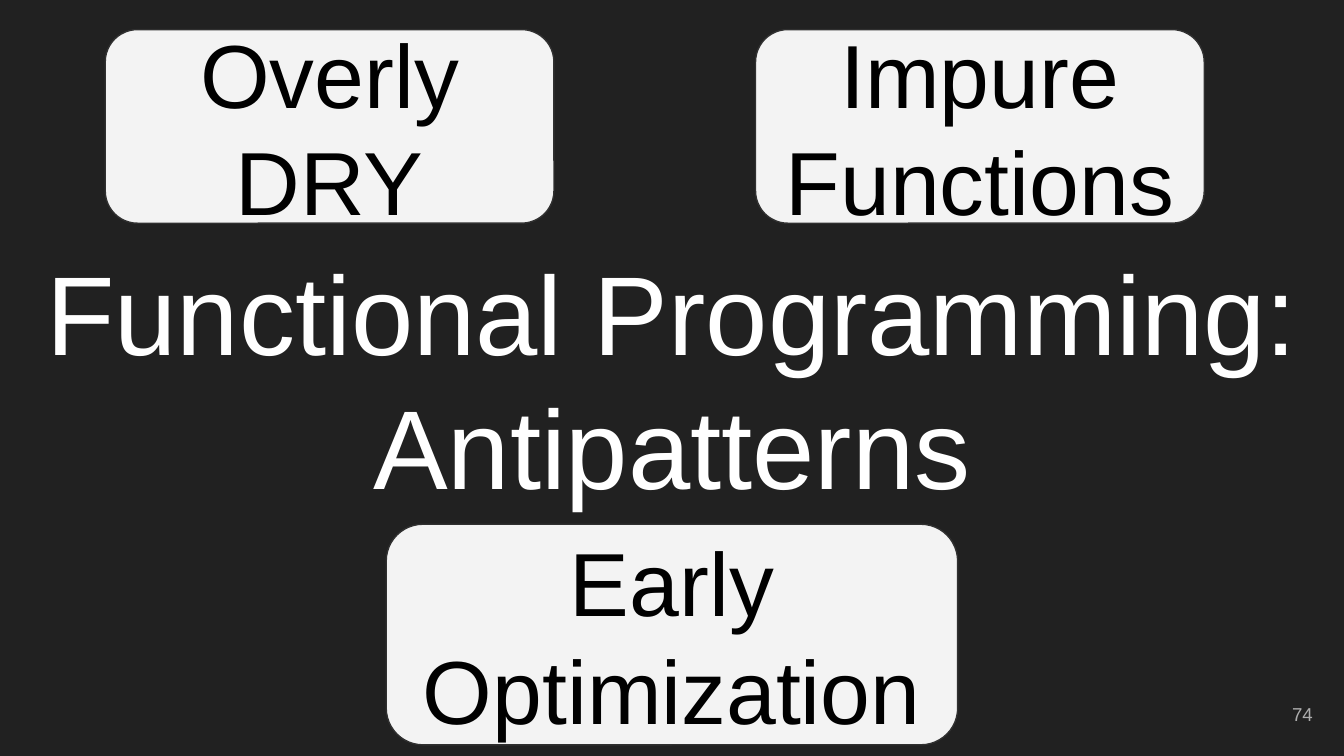
from pptx import Presentation
from pptx.dml.color import RGBColor
from pptx.enum import shapes, text
from pptx.util import Cm, Pt

THEME = {
    "font": "Arial",
    "background": "212121",
    "card": "F3F3F3",
    "outline": "303030",
    "title": {"size": 60, "color": "FFFFFF"},
    "label": {"size": 48, "color": "000000"},
    "number": {"size": 10, "color": "ADADAD"},
}

WIDTH, HEIGHT = 25.4, 14.29
TITLE = ["Functional Programming:", "Antipatterns"]
ANTIPATTERNS = [
    (["Overly DRY"], (1.99, 0.56, 8.48, 3.66)),
    (["Early Optimization"], (7.3, 9.91, 10.8, 4.17)),
    (["Impure", "Functions"], (14.28, 0.56, 8.48, 3.66)),
]
PAGE = ["74"]


def rgb(value):
    return RGBColor.from_string(value)


def write(sp, lines, size, color, align=text.PP_ALIGN.CENTER):
    tf = sp.text_frame
    tf.word_wrap = True
    tf.vertical_anchor = text.MSO_ANCHOR.MIDDLE
    tf.margin_left = tf.margin_right = Cm(0.25)
    tf.margin_top = tf.margin_bottom = Cm(0.25)
    for i, line in enumerate(lines):
        p = tf.add_paragraph() if i else tf.paragraphs[0]
        p.alignment = align
        r = p.add_run()
        r.text = line
        r.font.name = THEME["font"]
        r.font.size = Pt(size)
        r.font.color.rgb = rgb(color)


def add_text(s, box, lines, **style):
    write(s.shapes.add_textbox(*map(Cm, box)), lines, **style)


def add_card(s, box, lines):
    sp = s.shapes.add_shape(shapes.MSO_SHAPE.ROUNDED_RECTANGLE, *map(Cm, box))
    sp.shadow.inherit = False
    sp.fill.solid()
    sp.fill.fore_color.rgb = rgb(THEME["card"])
    sp.line.color.rgb = rgb(THEME["outline"])
    sp.line.width = Pt(0.75)
    write(sp, lines, **THEME["label"])


def main():
    prs = Presentation()
    prs.slide_width, prs.slide_height = Cm(WIDTH), Cm(HEIGHT)
    s = prs.slides.add_slide(prs.slide_layouts[6])
    s.background.fill.solid()
    s.background.fill.fore_color.rgb = rgb(THEME["background"])

    add_text(s, (0.58, 5.97, WIDTH - 2 * 0.58, 2.34), TITLE, **THEME["title"])
    for lines, box in ANTIPATTERNS:
        add_card(s, box, lines)
    add_text(s, (23.54, 12.95, 1.52, 1.09), PAGE,
             align=text.PP_ALIGN.RIGHT, **THEME["number"])
    prs.save("out.pptx")


if __name__ == "__main__":
    main()
